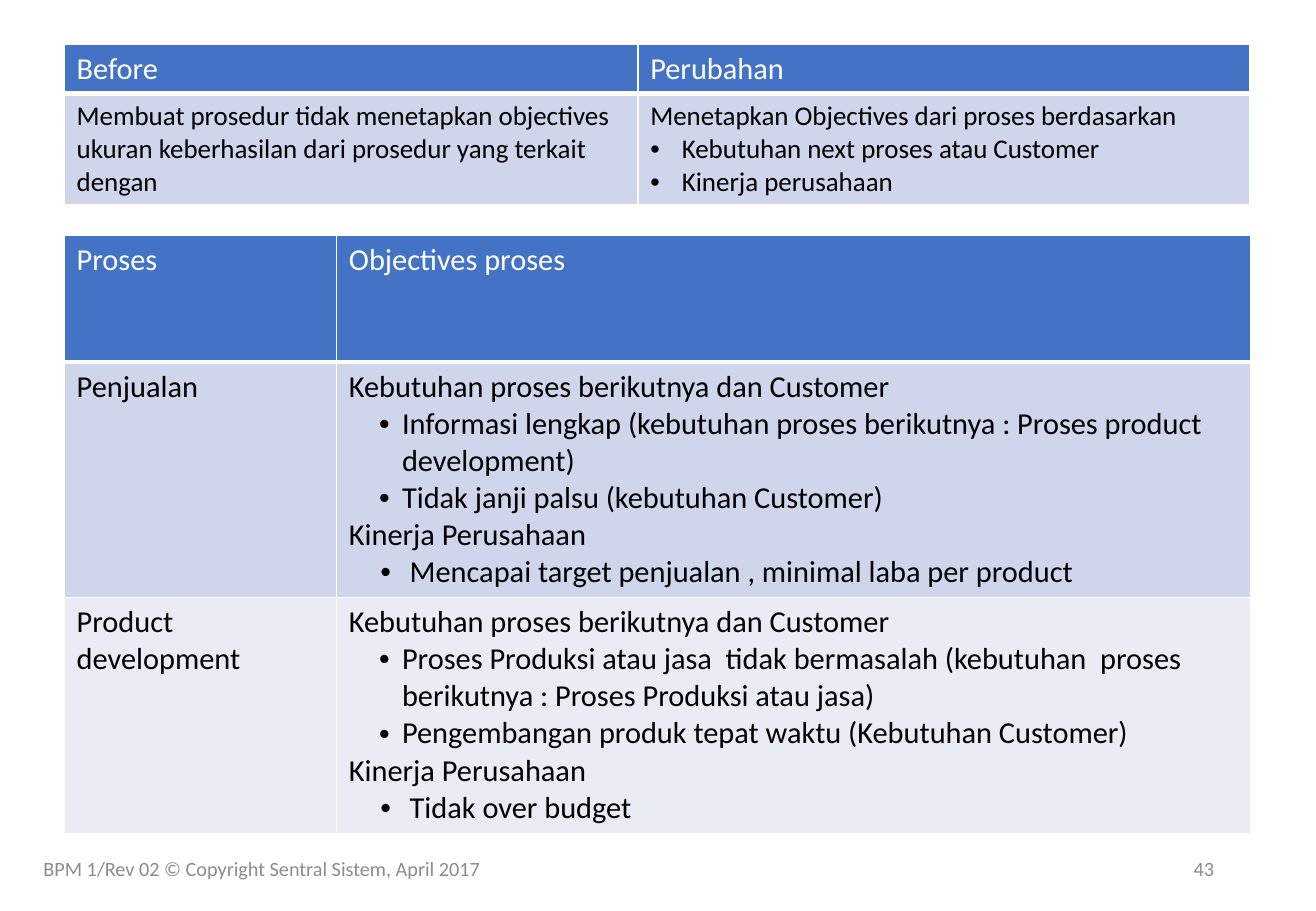
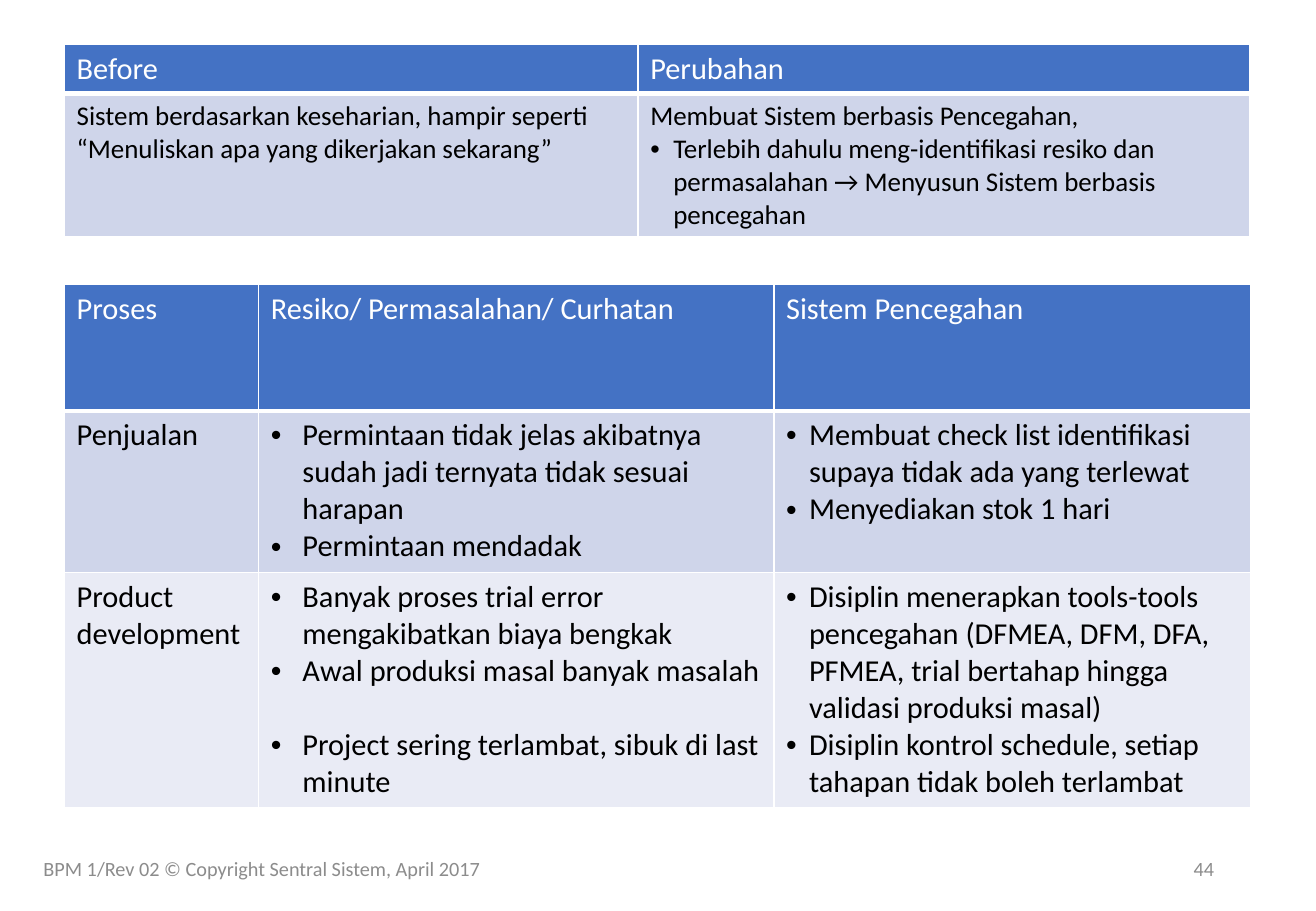
from dataclasses import dataclass
from typing import NamedTuple

from lxml.etree import SubElement as Sub
from pptx import Presentation
from pptx.dml.color import RGBColor as Rgb
from pptx.enum.text import MSO_ANCHOR as Anchor, PP_ALIGN as Align
from pptx.oxml.ns import qn
from pptx.util import Cm, Pt

# Shared look
FONT = "Calibri"
WHITE, BLACK, GREY = "FFFFFF", "000000", "8C8C8C"
HEAD, BANDS = "4472C4", ("CFD5EA", "E9EBF5")
LEFT, TOP = 1.35, 0.92
FOOT = "BPM 1/Rev 02 © Copyright Sentral Sistem, April 2017"


class Mark(NamedTuple):
    """Bullet layout: text indent and hang in cm, level, space after in points."""
    left: float
    hang: float
    level: int = 0
    after: float = 0


WIDE = Mark(0.66, 0.66)
GAP = Mark(0.66, 0.66, after=22)
SLIM = Mark(0.48, 0.48)
DEEP = Mark(1.11, 0.48)
SUB = Mark(1.27, 0.61, level=1)


class Item(NamedTuple):
    text: str
    mark: Mark | None = None


Cell = str | list[Item]


@dataclass
class Grid:
    top: float
    cols: list[float]
    rows: list[float]
    cells: list[list[Cell]]
    size: float = 18


@dataclass
class Page:
    number: int
    grids: list[Grid]


def color(code: str) -> Rgb:
    return Rgb.from_string(code)


def style(para, size: float, code: str) -> None:
    for run in para.runs:
        font = run.font
        font.name, font.size, font.bold = FONT, Pt(size), False
        font.color.rgb = color(code)


def bullet(para, mark: Mark) -> None:
    para.level = mark.level
    props = para._p.get_or_add_pPr()
    props.set("marL", str(Cm(mark.left)))
    props.set("indent", str(-Cm(mark.hang)))
    Sub(props, qn("a:buFont"), typeface="Arial")
    Sub(props, qn("a:buChar"), char="•")
    if mark.after:
        para.space_after = Pt(mark.after)


def border(cell, base: float) -> None:
    props = cell._tc.get_or_add_tcPr()
    for side, width in (("L", 1), ("R", 1), ("T", 1), ("B", base)):
        line = Sub(props, qn(f"a:ln{side}"), w=str(Pt(width)))
        fill = Sub(line, qn("a:solidFill"))
        Sub(fill, qn("a:srgbClr"), val=WHITE)


def write(cell, body: Cell, size: float, code: str) -> None:
    items = [Item(body)] if isinstance(body, str) else body
    frame = cell.text_frame
    frame.text = "\n".join(item.text for item in items)
    for para, item in zip(frame.paragraphs, items):
        if item.mark:
            bullet(para, item.mark)
        style(para, size, code)


def draw(slide, grid: Grid) -> None:
    table = slide.shapes.add_table(
        len(grid.rows), len(grid.cols), Cm(LEFT), Cm(grid.top),
        Cm(sum(grid.cols)), Cm(sum(grid.rows))).table
    table.first_row = table.horz_banding = False
    for col, width in zip(table.columns, grid.cols):
        col.width = Cm(width)
    for r, (row, high) in enumerate(zip(table.rows, grid.rows)):
        row.height = Cm(high)
        top = r == 0
        for cell, body in zip(row.cells, grid.cells[r]):
            border(cell, 3 if top else 1)
            cell.fill.solid()
            cell.fill.fore_color.rgb = color(HEAD if top else BANDS[(r - 1) % 2])
            write(cell, body, 18 if top else grid.size, WHITE if top else BLACK)


def footer(slide, text: str, left: float, width: float, align: Align) -> None:
    box = slide.shapes.add_textbox(Cm(left), Cm(17.65), Cm(width), Cm(1.02))
    frame = box.text_frame
    frame.word_wrap = True
    frame.vertical_anchor = Anchor.MIDDLE
    frame.text = text
    para = frame.paragraphs[0]
    para.alignment = align
    style(para, 12, GREY)


def change(high: float, old: Cell, new: Cell) -> Grid:
    """Top table: the practice before and the change made to it."""
    return Grid(TOP, [11.99, 12.78], [1.04, high],
                [["Before", "Perubahan"], [old, new]], 16)


def goals(need: list[str], target: str) -> list[Item]:
    """Objectives of one process: needs first, then company results."""
    return [Item("Kebutuhan proses berikutnya dan Customer"),
            *(Item(text, DEEP) for text in need),
            Item("Kinerja Perusahaan"), Item(target, SUB)]


def points(mark: Mark, *texts: str) -> list[Item]:
    return [Item(text, mark) for text in texts]


PAGES = [
    # Objectives
    Page(43, [
        change(
            2.31,
            "Membuat prosedur tidak menetapkan objectives ukuran keberhasilan "
            "dari prosedur yang terkait dengan",
            [Item("Menetapkan Objectives dari proses berdasarkan"),
             *points(WIDE, "Kebutuhan next proses atau Customer",
                     "Kinerja perusahaan")]),
        Grid(4.93, [5.69, 19.1], [2.64, 4.93, 4.93], [
            ["Proses", "Objectives proses"],
            ["Penjualan", goals(
                ["Informasi lengkap (kebutuhan proses berikutnya : "
                 "Proses product development)",
                 "Tidak janji palsu (kebutuhan Customer)"],
                "Mencapai target penjualan , minimal laba per product")],
            ["Product development", goals(
                ["Proses Produksi atau jasa  tidak bermasalah (kebutuhan  proses "
                 "berikutnya : Proses Produksi atau jasa)",
                 "Pengembangan produk tepat waktu (Kebutuhan Customer)"],
                "Tidak over budget")],
        ]),
    ]),
    # Prevention
    Page(44, [
        change(
            3.0,
            "Sistem berdasarkan keseharian, hampir seperti "
            "“Menuliskan apa yang dikerjakan sekarang”",
            [Item("Membuat Sistem berbasis Pencegahan,"),
             *points(SLIM, "Terlebih dahulu meng-identifikasi resiko dan "
                     "permasalahan → Menyusun Sistem berbasis pencegahan")]),
        Grid(5.95, [4.06, 10.77, 9.96], [2.64, 3.38, 4.93], [
            ["Proses", "Resiko/ Permasalahan/ Curhatan", "Sistem Pencegahan"],
            ["Penjualan",
             points(WIDE, "Permintaan tidak jelas akibatnya sudah jadi "
                    "ternyata tidak sesuai harapan", "Permintaan mendadak"),
             points(SLIM, "Membuat check list identifikasi supaya tidak ada "
                    "yang terlewat", "Menyediakan stok 1 hari")],
            ["Product development",
             [Item("Banyak proses trial error mengakibatkan biaya bengkak", WIDE),
              Item("Awal produksi masal banyak masalah", GAP),
              Item("Project sering terlambat, sibuk di last minute", WIDE)],
             points(SLIM, "Disiplin menerapkan tools-tools pencegahan (DFMEA, "
                    "DFM, DFA, PFMEA, trial bertahap hingga validasi produksi "
                    "masal)", "Disiplin kontrol schedule, setiap tahapan tidak "
                    "boleh terlambat")],
        ]),
    ]),
]


def main() -> None:
    deck = Presentation()
    deck.slide_width, deck.slide_height = Cm(27.51), Cm(19.05)
    for page in PAGES:
        slide = deck.slides.add_slide(deck.slide_layouts[6])
        for grid in page.grids:
            draw(slide, grid)
        footer(slide, str(page.number), 19.43, 6.2, Align.RIGHT)
        footer(slide, FOOT, 0.66, 17.73, Align.LEFT)
    deck.save("out.pptx")


if __name__ == "__main__":
    main()
